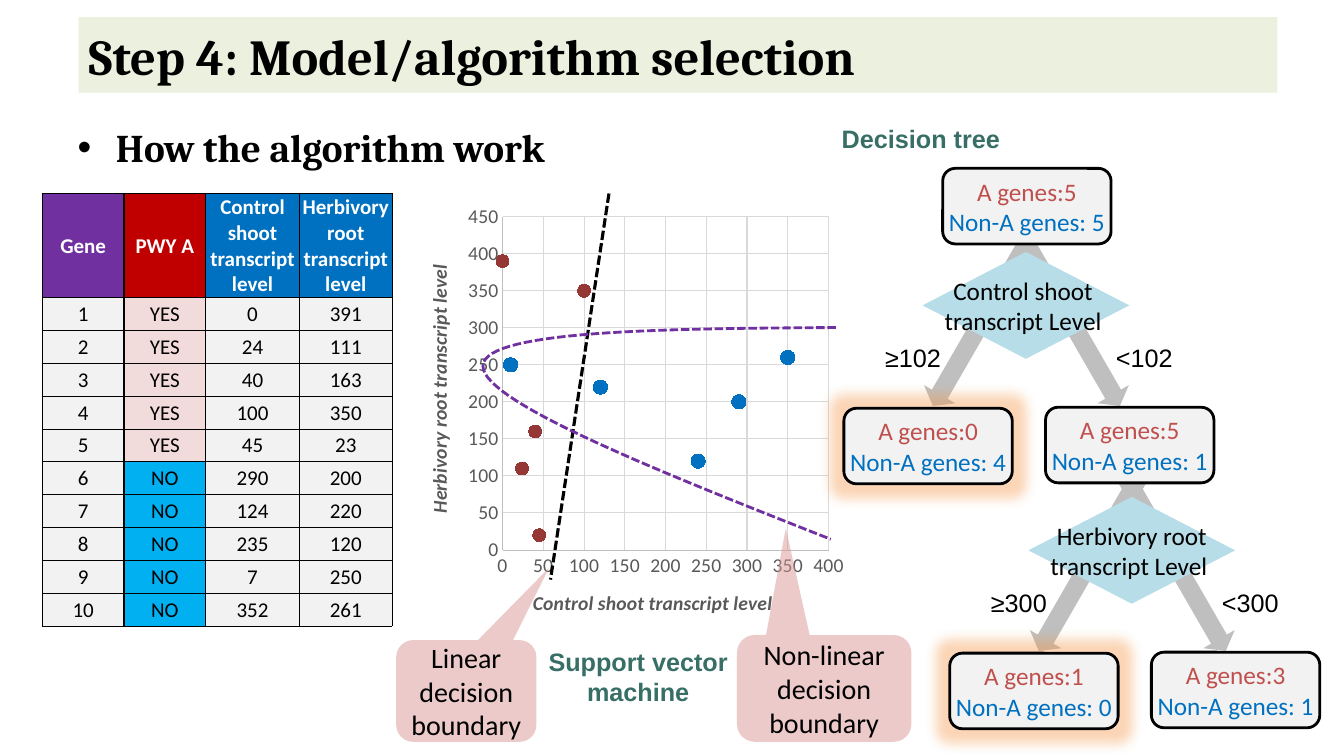
from lxml.etree import SubElement
from pptx import Presentation
from pptx.chart.data import XyChartData
from pptx.dml.color import RGBColor
from pptx.enum.chart import XL_CHART_TYPE as ChartType, XL_MARKER_STYLE as Marker, XL_TICK_MARK as Tick
from pptx.enum.dml import MSO_LINE as Dash
from pptx.enum.shapes import MSO_CONNECTOR as Connector, MSO_SHAPE as Shape
from pptx.enum.text import MSO_ANCHOR as Anchor, MSO_AUTO_SIZE as AutoSize, PP_ALIGN as Align
from pptx.oxml.ns import qn
from pptx.util import Inches, Pt

COLORS = {
    "black": "000000", "white": "FFFFFF", "title": "EBF1DE", "heading": "376F66",
    "purple": "7030A0", "red": "C00000", "blue": "0070C0", "yes": "F2DCDB", "no": "00B0F0",
    "pale": "F2F2F2", "maroon": "953735", "gray": "595959", "axis": "BFBFBF", "grid": "D9D9D9",
    "callout": "D99694", "a_gene": "C0504D", "decision": "B7DEE8", "glow": "F79646",
}
HEADER = [("Gene",), ("PWY A",), ("Control", "shoot", "transcript", "level"),
          ("Herbivory", "root transcript level")]
GENES = [("YES", 0, 391), ("YES", 24, 111), ("YES", 40, 163), ("YES", 100, 350), ("YES", 45, 23),
         ("NO", 290, 200), ("NO", 124, 220), ("NO", 235, 120), ("NO", 7, 250), ("NO", 352, 261)]
SCATTER = {
    "Series 1": [(290, 200), (120, 220), (240, 120), (10, 250), (350, 260)],
    "Series 2": [(0, 390), (24, 110), (40, 160), (100, 350), (45, 20)],
}


def rgb(name):
    return RGBColor.from_string(COLORS[name])


def set_all(target, values):
    for name, value in values.items():
        setattr(target, name, value)


def set_font(font, size, color="black", name="Calibri", **more):
    set_all(font, {"name": name, "size": Pt(size), "bold": False, **more})
    font.color.rgb = rgb(color)


def write(frame, lines, size, colors=("black",), align=Align.CENTER, **font):
    """Write one paragraph per line; the last colour serves the remaining lines."""
    for index, line in enumerate(lines):
        para = frame.paragraphs[0] if index == 0 else frame.add_paragraph()
        para.alignment = align
        span = para.add_run()
        span.text = line
        set_font(span.font, size, colors[min(index, len(colors) - 1)], **font)


def paint(item, color):
    item.fill.solid()
    item.fill.fore_color.rgb = rgb(color)


def add_box(shapes, kind, at, color):
    box = shapes.add_shape(kind, *map(Inches, at))
    box.shadow.inherit = False
    paint(box, color)
    box.line.fill.background()
    box.text_frame.vertical_anchor = Anchor.MIDDLE
    return box


def add_label(shapes, at, text, wrap=False, align=Align.LEFT, **font):
    frame = shapes.add_textbox(*map(Inches, at)).text_frame
    set_all(frame, {"word_wrap": wrap, "auto_size": AutoSize.SHAPE_TO_FIT_TEXT})
    write(frame, [text], 18, align=align, name="Arial", **font)


def fill_placeholders(page):
    title, body = page.shapes.title, page.placeholders[1]
    for box, at in ((title, (0.78, 0.17, 11.89, 0.75)), (body, (0.67, 1.17, 10.5, 0.75))):
        set_all(box, dict(zip(("left", "top", "width", "height"), map(Inches, at))))
        set_all(box.text_frame, {"auto_size": AutoSize.NONE, "word_wrap": True})
    paint(title, "title")
    title.text_frame.vertical_anchor = Anchor.MIDDLE
    heading = {"align": Align.LEFT, "name": "Cambria", "bold": True}
    write(title.text_frame, ["Step 4: Model/algorithm selection"], 36, **heading)
    para = body.text_frame.paragraphs[0]
    props = para._p.get_or_add_pPr()
    props.set("marL", str(Inches(0.38)))
    props.set("indent", str(-Inches(0.38)))
    SubElement(props, qn("a:buChar"), char="•")
    para.space_before = Pt(0)
    write(body.text_frame, ["How the algorithm work"], 28, **heading)


def set_borders(cell, widths):
    props = cell._tc.get_or_add_tcPr()
    for side, width in zip("LRTB", widths):
        line = SubElement(props, qn(f"a:ln{side}"), w=str(Pt(width)))
        SubElement(SubElement(line, qn("a:solidFill")), qn("a:srgbClr"), val=COLORS["black"])


def add_gene_table(page):
    rows = [HEADER] + [[(str(value),) for value in (number, *gene)]
                       for number, gene in enumerate(GENES, 1)]
    area = map(Inches, (0.42, 1.92, 3.47, 4.28))
    table = page.shapes.add_table(len(rows), len(HEADER), *area).table
    set_all(table, {"first_row": False, "horz_banding": False})
    for column, width in zip(table.columns, (0.81, 0.81, 0.93, 0.92)):
        column.width = Inches(width)
    margins = {"margin_left": Inches(0.01), "margin_right": Inches(0.01),
               "margin_top": Inches(0.01), "margin_bottom": 0}
    for r, row in enumerate(rows):
        table.rows[r].height = Inches(3.26 / len(GENES) if r else 0.67)
        for c, lines in enumerate(row):
            cell = table.cell(r, c)
            set_all(cell, {"vertical_anchor": Anchor.MIDDLE, **margins})
            set_borders(cell, (1 if c < 3 else 0.5, 1 if c < 2 else 0.5,
                               1 if r < 2 else 0.5, 0.5 if r else 1))
            if r == 0:
                paint(cell, ("purple", "red", "blue", "blue")[c])
            else:
                paint(cell, lines[0].lower() if c == 1 else "pale")
            write(cell.text_frame, lines, 15, ["black" if r else "white"], bold=r == 0)


def place_in_chart(element, index, **place):
    """Give a chart part a fixed place, as fractions of the chart."""
    for old in element.findall(qn("c:layout")):
        element.remove(old)
    layout = element.makeelement(qn("c:layout"))
    element.insert(index, layout)
    manual = SubElement(layout, qn("c:manualLayout"))
    if "w" in place:
        SubElement(manual, qn("c:layoutTarget"), val="inner")
    for mode in ("xMode", "yMode"):
        SubElement(manual, qn(f"c:{mode}"), val="edge")
    for name, value in place.items():
        SubElement(manual, qn(f"c:{name}"), val=str(value))


def format_axis(axis, title, top, x, y, turn):
    set_all(axis, {"minimum_scale": 0, "maximum_scale": top, "major_unit": 50,
                   "major_tick_mark": Tick.NONE, "minor_tick_mark": Tick.NONE,
                   "has_major_gridlines": True})
    set_font(axis.tick_labels.font, 14, "gray")
    for line, color in ((axis.format.line, "axis"), (axis.major_gridlines.format.line, "grid")):
        line.color.rgb = rgb(color)
        line.width = Pt(0.75)
    frame = axis.axis_title.text_frame
    write(frame, [title], 14, ["gray"], bold=True, italic=True)
    frame._txBody.find(qn("a:bodyPr")).set("rot", str(turn * 60000))
    place_in_chart(axis.axis_title._element, 1, x=x, y=y)


def add_scatter(page):
    data = XyChartData()
    for name, points in SCATTER.items():
        series = data.add_series(name)
        for shoot, root in points:
            series.add_data_point(shoot, root)
    area = map(Inches, (4.01, 1.93, 4.43, 4.41))
    chart = page.shapes.add_chart(ChartType.XY_SCATTER, *area, data).chart
    set_all(chart, {"has_legend": False, "has_title": False})
    set_font(chart.font, 14)
    plot = chart.plots[0]
    plot.vary_by_categories = False
    for series, color, size in zip(plot.series, ("blue", "maroon"), (10, 9)):
        series.format.line.fill.background()
        set_all(series.marker, {"style": Marker.CIRCLE, "size": size})
        paint(series.marker.format, color)
        series.marker.format.line.color.rgb = rgb(color)
    format_axis(chart.category_axis, "Control shoot transcript level", 400, 0.28, 0.88, 0)
    format_axis(chart.value_axis, "Herbivory root transcript level", 450, 0.04, 0.15, -90)
    place_in_chart(chart._chartSpace.chart.plotArea, 0, x=0.22, y=0.05, w=0.73, h=0.75)


def dash(line, color, width):
    line.color.rgb = rgb(color)
    set_all(line, {"width": Pt(width), "dash_style": Dash.SQUARE_DOT})


def curve_points(start, first, second, end, steps=30):
    for step in range(1, steps + 1):
        t = step / steps
        weights = ((1 - t) ** 3, 3 * t * (1 - t) ** 2, 3 * t * t * (1 - t), t ** 3)
        yield tuple(Inches(sum(w * p[i] for w, p in zip(weights, (start, first, second, end))))
                    for i in (0, 1))


def add_boundaries(page):
    line = page.shapes.add_connector(Connector.STRAIGHT, *map(Inches, (6.04, 1.92, 5.46, 5.75)))
    SubElement(line._element.spPr, qn("a:effectLst"))
    dash(line.line, "black", 2.25)
    start, tip = (8.29, 3.25), (4.79, 3.63)
    builder = page.shapes.build_freeform(*map(Inches, start), scale=1.0)
    upper = curve_points(start, (6.54, 3.26), (4.8, 3.28), tip)
    lower = curve_points(tip, (4.78, 3.98), (6.51, 4.67), (8.24, 5.35))
    builder.add_line_segments([*upper, *lower], close=False)
    curve = builder.convert_to_shape()
    curve.shadow.inherit = False
    curve.fill.background()
    dash(curve.line, "purple", 2)


def add_callout(page, at, tip, lines):
    box = add_box(page.shapes, Shape.ROUNDED_RECTANGULAR_CALLOUT, at, "callout")
    box.adjustments[0], box.adjustments[1] = tip
    SubElement(box._element.spPr.find(".//" + qn("a:srgbClr")), qn("a:alpha"), val="50000")
    box.text_frame.word_wrap = True
    write(box.text_frame, lines, 20)


def add_split(page, left, top, limit):
    """Two arrows and their conditions below a decision."""
    shapes = page.shapes.add_group_shape().shapes
    for shift, turn in ((0, 120), (0.83, 60)):
        arrow = add_box(shapes, Shape.RIGHT_ARROW, (left + shift, top, 2.05, 0.36), "axis")
        arrow.rotation = turn
        arrow.adjustments[1] = 0.375
    for shift, sign in ((-0.06, "≥"), (2.23, "<")):
        add_label(shapes, (left + shift, top + 0.39, 0.76, 0.4), f"{sign}{limit}")


def add_node(page, left, top, a_count, other_count, glow=False):
    box = add_box(page.shapes, Shape.ROUNDED_RECTANGLE, (left, top, 1.67, 0.75), "pale")
    box.line.color.rgb = rgb("black")
    box.line.width = Pt(2)
    set_all(box.text_frame, {"margin_left": 0, "margin_right": 0, "word_wrap": False})
    write(box.text_frame, [f"A genes:{a_count}", f"Non-A genes: {other_count}"], 18,
          ("a_gene", "blue"))
    if glow:
        effects = box._element.spPr.find(qn("a:effectLst"))
        halo = SubElement(effects, qn("a:glow"), rad=str(Pt(18)))
        color = SubElement(halo, qn("a:srgbClr"), val=COLORS["glow"])
        SubElement(color, qn("a:alpha"), val="40000")


def add_decision(page, left, top, subject):
    box = add_box(page.shapes, Shape.FLOWCHART_DECISION, (left, top, 2.05, 1.06), "decision")
    box.text_frame.word_wrap = False
    write(box.text_frame, [subject, "transcript Level "], 18)


def main():
    deck = Presentation()
    deck.slide_width, deck.slide_height = Inches(13.33), Inches(7.5)
    page = deck.slides.add_slide(deck.slide_layouts[1])
    fill_placeholders(page)

    # Data and support vector machine
    add_scatter(page)
    add_gene_table(page)
    add_boundaries(page)
    add_callout(page, (3.93, 6.35, 1.39, 1.01), (0.59, -1.21), ["Linear", "decision boundary"])
    add_callout(page, (7.31, 6.3, 1.73, 1.06), (-0.22, -1.5), ["Non-linear decision boundary"])
    heading = {"colors": ["heading"], "bold": True}
    add_label(page.shapes, (5.28, 6.36, 2.1, 0.71), "Support vector machine", True,
              Align.CENTER, **heading)

    # Decision tree
    add_label(page.shapes, (8.25, 1.17, 1.79, 0.4), "Decision tree", **heading)
    add_split(page, 8.74, 2.96, 102)
    add_split(page, 9.79, 5.39, 300)
    for node in ((8.37, 4.05, 0, 4, True), (10.37, 4.04, 5, 1), (9.42, 6.48, 1, 0, True),
                 (11.42, 6.47, 3, 1), (9.35, 1.67, 5, 5)):
        add_node(page, *node)
    add_decision(page, 9.15, 2.5, "Control shoot ")
    add_decision(page, 10.2, 4.93, "Herbivory root")
    deck.save("out.pptx")


if __name__ == "__main__":
    main()
